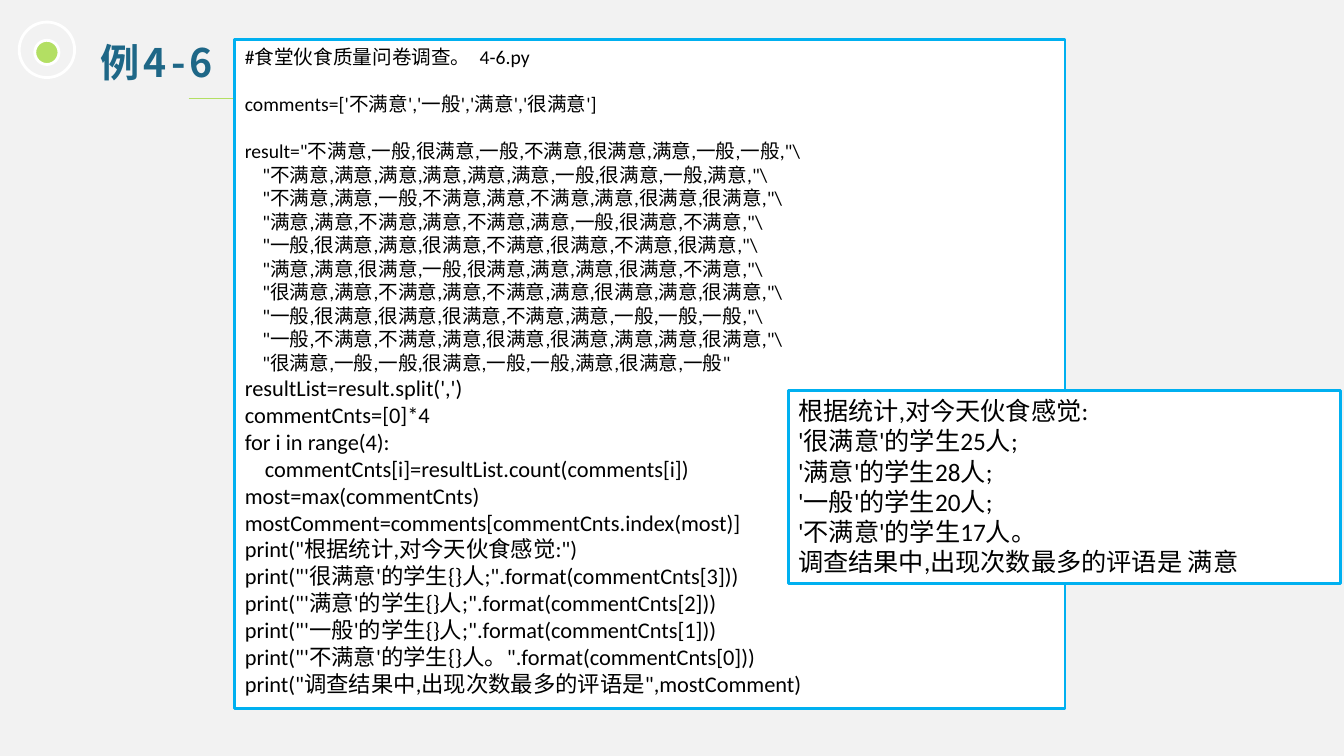
import pptx
import pptx.dml.color
import pptx.enum.shapes
import pptx.enum.text
import pptx.oxml
import pptx.oxml.ns
import pptx.util
from pptx.util import Pt

SHAPES = pptx.enum.shapes.MSO_SHAPE
ANCHORS = pptx.enum.text.MSO_ANCHOR
BLUE = "00B0F0"
GREEN = "B3DF63"
WHITE = "FFFFFF"

SURVEY_CODE = r'''#食堂伙食质量问卷调查。  4-6.py

comments=['不满意','一般','满意','很满意']

result="不满意,一般,很满意,一般,不满意,很满意,满意,一般,一般,"\
    "不满意,满意,满意,满意,满意,满意,一般,很满意,一般,满意,"\
    "不满意,满意,一般,不满意,满意,不满意,满意,很满意,很满意,"\
    "满意,满意,不满意,满意,不满意,满意,一般,很满意,不满意,"\
    "一般,很满意,满意,很满意,不满意,很满意,不满意,很满意,"\
    "满意,满意,很满意,一般,很满意,满意,满意,很满意,不满意,"\
    "很满意,满意,不满意,满意,不满意,满意,很满意,满意,很满意,"\
    "一般,很满意,很满意,很满意,不满意,满意,一般,一般,一般,"\
    "一般,不满意,不满意,满意,很满意,很满意,满意,满意,很满意,"\
    "很满意,一般,一般,很满意,一般,一般,满意,很满意,一般"'''

COUNT_CODE = '''resultList=result.split(',')
commentCnts=[0]*4
for i in range(4):
    commentCnts[i]=resultList.count(comments[i])
most=max(commentCnts)
mostComment=comments[commentCnts.index(most)]
print("根据统计,对今天伙食感觉:")
print("'很满意'的学生{}人;".format(commentCnts[3]))
print("'满意'的学生{}人;".format(commentCnts[2]))
print("'一般'的学生{}人;".format(commentCnts[1]))
print("'不满意'的学生{}人。".format(commentCnts[0]))
print("调查结果中,出现次数最多的评语是",mostComment)'''

OUTPUT = '''根据统计,对今天伙食感觉:
'很满意'的学生25人;
'满意'的学生28人;
'一般'的学生20人;
'不满意'的学生17人。
调查结果中,出现次数最多的评语是 满意'''


def color(value):
    """Turn a hex string into a colour."""
    return pptx.dml.color.RGBColor.from_string(value)


def write(para, text, size=14, font="Calibri", ink="000000", bold=False, spacing=0):
    """Add one formatted span of text to a paragraph."""
    span = para.add_run()
    span.text = text
    span.font.size = Pt(size)
    span.font.name = font
    span.font.bold = bold
    span.font.color.rgb = color(ink)
    properties = span.font._element
    if spacing:
        properties.set("spc", str(spacing * 100))
    east_asian = pptx.oxml.parse_xml(
        f'<a:ea {pptx.oxml.ns.nsdecls("a")} typeface="{font}"/>')
    properties.find(pptx.oxml.ns.qn("a:latin")).addnext(east_asian)


def add_outlined(page, kind, left, top, width, height, fill=None, line=WHITE):
    """Add a preset shape with a two-point outline."""
    shape = page.shapes.add_shape(kind, Pt(left), Pt(top), Pt(width), Pt(height))
    shape.shadow.inherit = False
    if fill:
        shape.fill.solid()
        shape.fill.fore_color.rgb = color(fill)
    else:
        shape.fill.background()
    shape.line.color.rgb = color(line)
    shape.line.width = Pt(2)
    return shape


def add_heading(page, left, top, width, height):
    """Place the ringed dot, the title and its rule in a box."""
    title = page.shapes.add_textbox(
        Pt(left + 51), Pt(top + 8), Pt(width - 51), Pt(height - 15))
    frame = title.text_frame
    frame.word_wrap = True
    frame.vertical_anchor = ANCHORS.MIDDLE
    frame.margin_top = frame.margin_bottom = 0
    write(frame.paragraphs[0], "例4-6", size=28, font="Noto Sans CJK SC",
          ink="1E6787", bold=True, spacing=3)
    ring, dot = 39.6, 17.3
    inset = (ring - dot) / 2
    add_outlined(page, SHAPES.OVAL, left + inset, top + 13, dot, dot, fill=GREEN)
    add_outlined(page, SHAPES.OVAL, left, top, ring, ring)
    rule = page.shapes.add_connector(
        pptx.enum.shapes.MSO_CONNECTOR.STRAIGHT,
        Pt(left + 121), Pt(top + height - 1.5), Pt(left + 265), Pt(top + height - 1.5))
    rule.line.color.rgb = color(GREEN)
    rule.line.width = Pt(0.75)
    rule._element.spPr.append(
        pptx.oxml.parse_xml(f'<a:effectLst {pptx.oxml.ns.nsdecls("a")}/>'))


def add_listing(page, left, top, width, height, blocks):
    """Place blocks of text, each with its size, in a blue-framed box."""
    box = add_outlined(page, SHAPES.RECTANGLE, left, top, width, height,
                       fill=WHITE, line=BLUE)
    frame = box.text_frame
    frame.word_wrap = True
    frame.vertical_anchor = ANCHORS.TOP
    rows = [(row, size) for text, size in blocks for row in text.split("\n")]
    gap = 0
    para = None
    for row, size in rows:
        if not row:
            gap = size * 1.2
            continue
        para = frame.add_paragraph() if para else frame.paragraphs[0]
        para.alignment = pptx.enum.text.PP_ALIGN.LEFT
        para.space_before = Pt(gap)
        gap = 0
        if row.startswith(" "):
            para._p.get_or_add_pPr().set("marL", str(Pt(size * 0.9)))
        write(para, row.lstrip(), size=size)


def main():
    """Build the survey example slide."""
    deck = pptx.Presentation()
    deck.slide_width, deck.slide_height = Pt(960), Pt(540)
    page = deck.slides.add_slide(deck.slide_layouts[6])
    page.background.fill.solid()
    page.background.fill.fore_color.rgb = color("F2F2F2")
    add_heading(page, 13.7, 15.8, 543.5, 56)
    add_listing(page, 167.8, 28.5, 593, 477.5, [(SURVEY_CODE, 14), (COUNT_CODE, 16)])
    add_listing(page, 563, 278.9, 394.8, 138, [(OUTPUT, 18)])
    deck.save("out.pptx")


if __name__ == "__main__":
    main()
